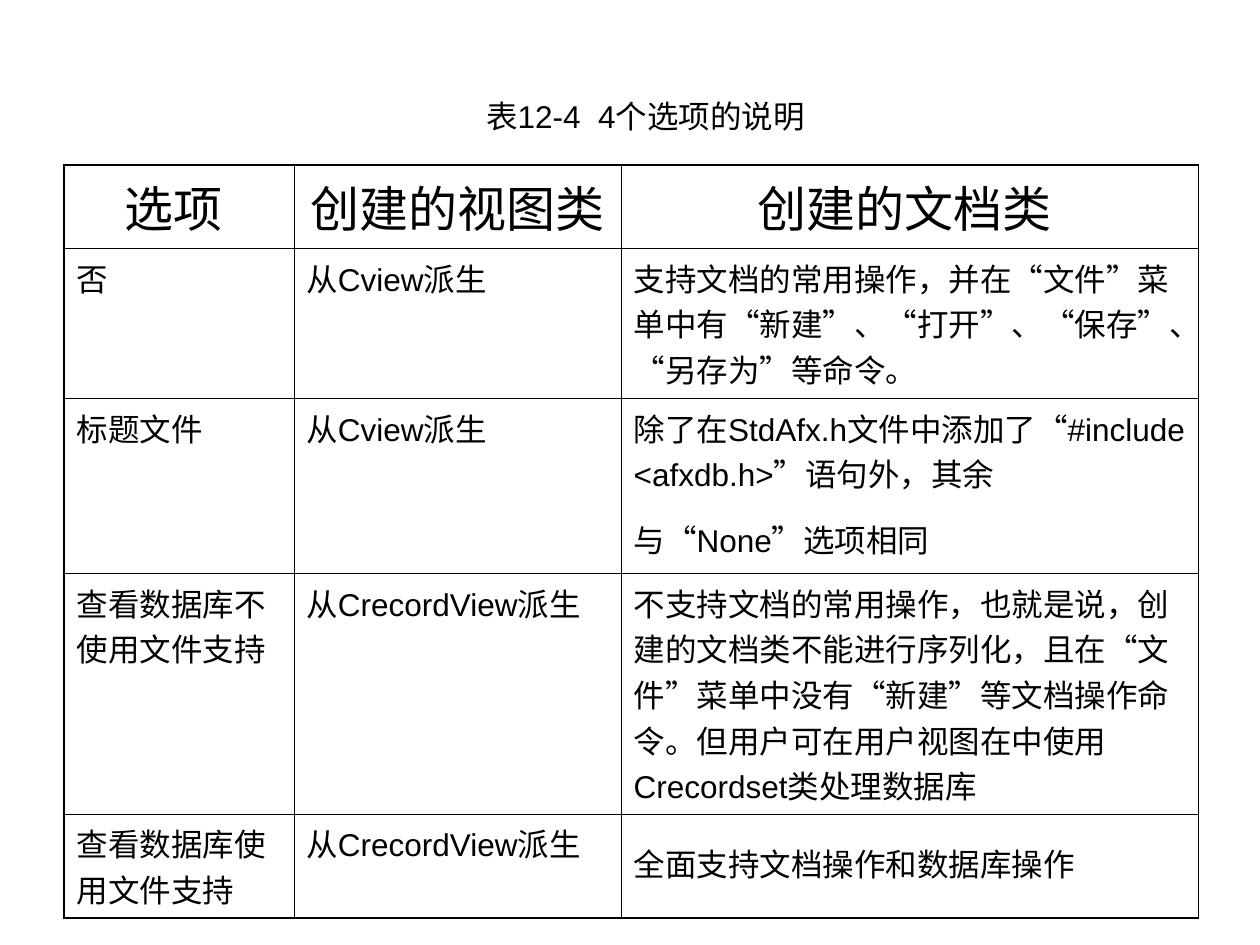
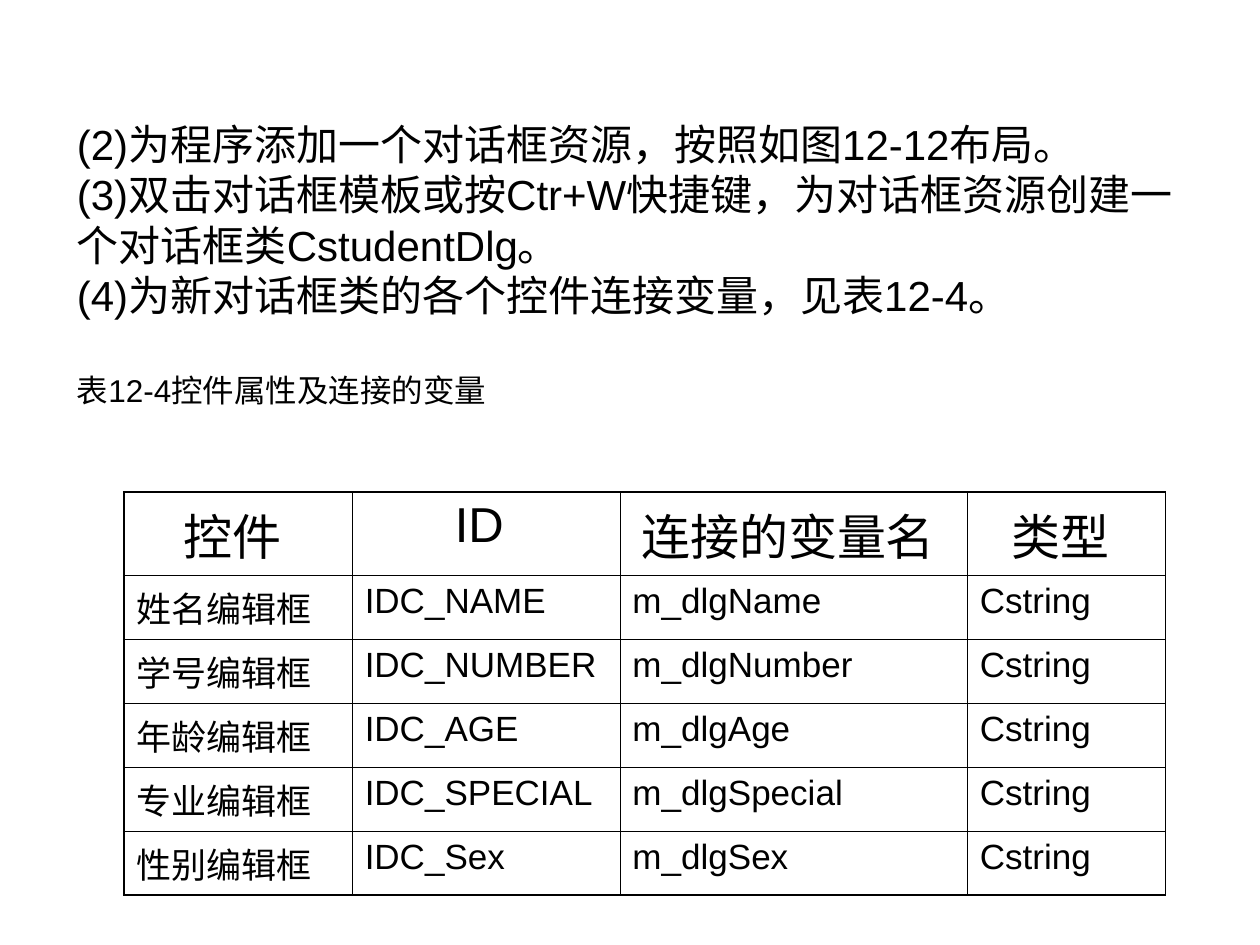
from lxml import etree
from pptx import Presentation
from pptx.dml.color import RGBColor
from pptx.enum.lang import MSO_LANGUAGE_ID
from pptx.enum.text import MSO_ANCHOR, MSO_AUTO_SIZE, PP_ALIGN
from pptx.oxml.ns import qn
from pptx.util import Pt

LEFT, CENTER = PP_ALIGN.LEFT, PP_ALIGN.CENTER
MIDDLE, NO_FIT = MSO_ANCHOR.MIDDLE, MSO_AUTO_SIZE.NONE
CHINESE = MSO_LANGUAGE_ID.SIMPLIFIED_CHINESE

# Shared style
HUES = {"ink": "000000", "page": "FFFFFF"}
FACE = {"name": "Arial", "bold": False, "language_id": CHINESE}
HEAD = 28
THICK, THIN = 1.08, 0.45
FRAME = {"word_wrap": True, "auto_size": NO_FIT, "vertical_anchor": MIDDLE}
PLAIN = {"first_row": False, "horz_banding": False}

# Slide content: each title line is (text, size, space before)
PAGES = [
    {
        "box": (184.5, 49, 368.5, 34),
        "align": CENTER,
        "title": [("表12-4  4个选项的说明", 18, 0)],
        "spot": (36.75, 94.25),
        "cols": [131.2, 187, 330],
        "rows": [47.5, 85.75, 100, 137.5, 59.5],
        "size": 18,
        "cells": [
            ["选项 ", "创建的视图类 ", "创建的文档类 "],
            ["否", "从Cview派生",
             "支持文档的常用操作，并在“文件”菜单中有“新建”、“打开”、“保存”、“另存为”等命令。"],
            ["标题文件", "从Cview派生",
             "除了在StdAfx.h文件中添加了“#include <afxdb.h>”语句外，其余与“None”选项相同 "],
            ["查看数据库不使用文件支持", "从CrecordView派生",
             "不支持文档的常用操作，也就是说，创建的文档类不能进行序列化，且在“文件”菜单中"
             "没有“新建”等文档操作命令。但用户可在用户视图在中使用Crecordset类处理数据库"],
            ["查看数据库使用文件支持", "从CrecordView派生",
             "全面支持文档操作和数据库操作 "],
        ],
    },
    {
        "box": (36.75, 54.75, 663, 191.5),
        "align": LEFT,
        "title": [
            ("(2)为程序添加一个对话框资源，按照如图12-12布局。", 24, 0),
            ("(3)双击对话框模板或按Ctr+W快捷键，为对话框资源创建一个对话框类CstudentDlg。", 24, 0),
            ("(4)为新对话框类的各个控件连接变量，见表12-4。", 24, 0),
            ("表12-4控件属性及连接的变量", 18, 29),
        ],
        "spot": (70.75, 281.25),
        "cols": [130.5, 153, 198.5, 113.25],
        "rows": [47.5] + [36.5] * 5,
        "size": 20,
        "cells": [["控件 ", "ID ", "连接的变量名 ", "类型 "]] + [
            [f"{label}编辑框", f"IDC_{key}", f"m_dlg{name}", "Cstring"]
            for label, key, name in [
                ("姓名", "NAME", "Name"),
                ("学号", "NUMBER", "Number"),
                ("年龄", "AGE", "Age"),
                ("专业", "SPECIAL", "Special"),
                ("性别", "Sex", "Sex"),
            ]
        ],
    },
]


def add_run(para, text, size):
    run = para.add_run()
    run.text = text
    for key, value in {**FACE, "size": Pt(size)}.items():
        setattr(run.font, key, value)
    run.font.color.rgb = RGBColor.from_string(HUES["ink"])


def add_edge(cell, side, width):
    line = etree.SubElement(cell._tc.get_or_add_tcPr(), qn("a:ln" + side), w=str(Pt(width)))
    fill = etree.SubElement(line, qn("a:solidFill"))
    etree.SubElement(fill, qn("a:srgbClr"), val=HUES["ink"])


deck = Presentation()
deck.slide_width, deck.slide_height = Pt(720), Pt(540)

for page in PAGES:
    slide = deck.slides.add_slide(deck.slide_layouts[5])
    slide.background.fill.solid()
    slide.background.fill.fore_color.rgb = RGBColor.from_string(HUES["page"])

    # Title
    title = slide.shapes.title
    for key, value in zip(("left", "top", "width", "height"), page["box"]):
        setattr(title, key, Pt(value))
    frame = title.text_frame
    for key, value in FRAME.items():
        setattr(frame, key, value)
    for i, (text, size, gap) in enumerate(page["title"]):
        para = frame.add_paragraph() if i else frame.paragraphs[0]
        para.alignment, para.space_before = page["align"], Pt(gap)
        add_run(para, text, size)

    # Table grid
    cols, rows = page["cols"], page["rows"]
    area = (*page["spot"], sum(cols), sum(rows))
    table = slide.shapes.add_table(len(rows), len(cols), *map(Pt, area)).table
    for key, value in PLAIN.items():
        setattr(table, key, value)
    for col, width in zip(table.columns, cols):
        col.width = Pt(width)
    for row, height in zip(table.rows, rows):
        row.height = Pt(height)

    # Cells: a closing space takes the heading size and sets the line height
    for r, line in enumerate(page["cells"]):
        for c, text in enumerate(line):
            cell = table.cell(r, c)
            para = cell.text_frame.paragraphs[0]
            para.alignment = LEFT if r else CENTER
            size = page["size"] if r else HEAD
            add_run(para, text.rstrip(), size)
            if text.endswith(" "):
                add_run(para, " ", HEAD)
                size = HEAD
            para.space_before = Pt(size / 4)

            # Heavy outer frame, fine inner lines
            outer = {"L": c == 0, "R": c == len(cols) - 1,
                     "T": r == 0, "B": r == len(rows) - 1}
            for side, edge in outer.items():
                add_edge(cell, side, THICK if edge else THIN)
            cell.fill.background()

deck.save("out.pptx")
